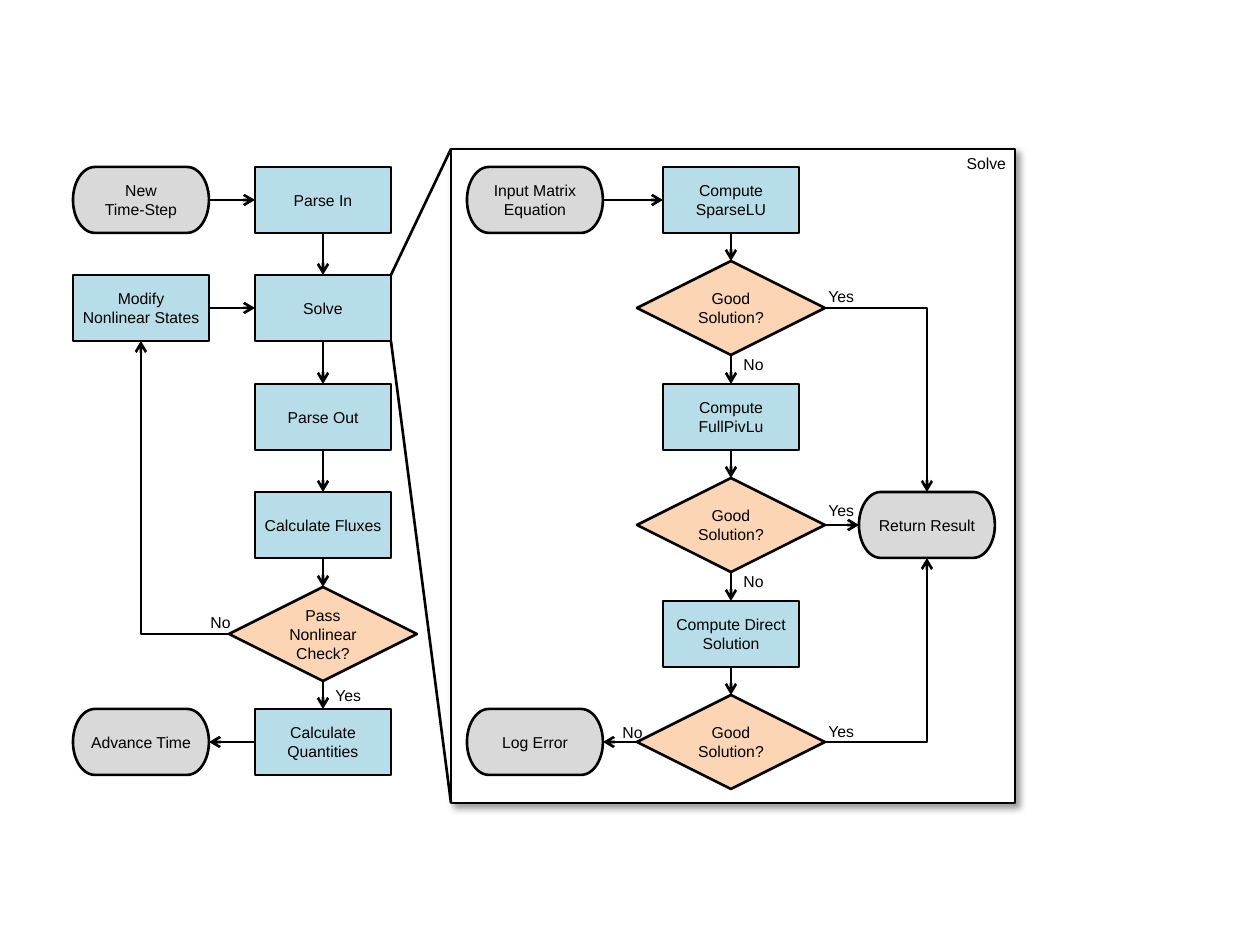
"""Build a flowchart of a time-step loop with its solve step expanded in a panel."""
import pptx
import pptx.dml.color
import pptx.enum.shapes
import pptx.enum.text
import pptx.oxml
import pptx.util

RGBColor = pptx.dml.color.RGBColor
MSO_SHAPE = pptx.enum.shapes.MSO_SHAPE
MSO_CONNECTOR = pptx.enum.shapes.MSO_CONNECTOR
PP_ALIGN = pptx.enum.text.PP_ALIGN
MSO_ANCHOR = pptx.enum.text.MSO_ANCHOR

BLACK = RGBColor(0x00, 0x00, 0x00)
WHITE = RGBColor(0xFF, 0xFF, 0xFF)
GREY = RGBColor(0xD9, 0xD9, 0xD9)
BLUE = RGBColor(0xB7, 0xDE, 0xE8)
ORANGE = RGBColor(0xFC, 0xD5, 0xB5)
PX = 914400 // 126
LINE_WIDTH = pptx.util.Pt(1.5)
TOP, LEFT, BOTTOM, RIGHT = range(4)
NAMESPACE = 'xmlns:a="http://schemas.openxmlformats.org/drawingml/2006/main"'

deck = pptx.Presentation()
deck.slide_width = pptx.util.Inches(10)
deck.slide_height = pptx.util.Inches(7.5)
page = deck.slides.add_slide(deck.slide_layouts[6])


def write(shape, text, align):
    frame = shape.text_frame
    frame.text = text
    for para in frame.paragraphs:
        para.alignment = align
        for span in para.runs:
            span.font.name = "Arial"
            span.font.size = pptx.util.Pt(9)
            span.font.color.rgb = BLACK
    return frame


def add_box(kind, bounds, fill, text, align, anchor):
    box = page.shapes.add_shape(kind, *(value * PX for value in bounds))
    box.shadow.inherit = False
    box.fill.solid()
    box.fill.fore_color.rgb = fill
    box.line.color.rgb = BLACK
    box.line.width = LINE_WIDTH
    frame = write(box, text, align)
    frame.vertical_anchor = anchor
    frame.margin_left = frame.margin_right = 9 * PX
    frame.margin_top = frame.margin_bottom = 5 * PX
    return box


panel = add_box(MSO_SHAPE.FLOWCHART_PROCESS, (451, 149, 564, 654), WHITE, "Solve",
                PP_ALIGN.RIGHT, MSO_ANCHOR.TOP)
panel.element.spPr.find(pptx.oxml.ns.qn("a:effectLst")).append(pptx.oxml.parse_xml(
    f'<a:outerShdw {NAMESPACE} blurRad="50800" dist="38100" dir="2700000" algn="tl" '
    'rotWithShape="0"><a:srgbClr val="000000"><a:alpha val="40000"/></a:srgbClr>'
    '</a:outerShdw>'))

STYLES = {
    "end": (MSO_SHAPE.FLOWCHART_TERMINATOR, 136, 66, GREY),
    "step": (MSO_SHAPE.FLOWCHART_PROCESS, 136, 66, BLUE),
    "check": (MSO_SHAPE.FLOWCHART_DECISION, 188, 94, ORANGE),
}
COLUMN_CENTRES = [141, 323, 535, 731, 927]
NODES = {
    "new step": (0, 0, "end", "New\nTime-Step"),
    "modify": (0, 1, "step", "Modify Nonlinear States"),
    "advance": (0, 5, "end", "Advance Time"),
    "parse in": (1, 0, "step", "Parse In"),
    "solve": (1, 1, "step", "Solve"),
    "parse out": (1, 2, "step", "Parse Out"),
    "fluxes": (1, 3, "step", "Calculate Fluxes"),
    "nonlinear check": (1, 4, "check", "Pass Nonlinear Check?"),
    "quantities": (1, 5, "step", "Calculate Quantities"),
    "input": (2, 0, "end", "Input Matrix Equation"),
    "log error": (2, 5, "end", "Log Error"),
    "sparse": (3, 0, "step", "Compute SparseLU"),
    "sparse check": (3, 1, "check", "Good Solution?"),
    "full": (3, 2, "step", "Compute FullPivLu"),
    "full check": (3, 3, "check", "Good Solution?"),
    "direct": (3, 4, "step", "Compute Direct Solution"),
    "direct check": (3, 5, "check", "Good Solution?"),
    "return": (4, 3, "end", "Return Result"),
}
boxes = {}
for name, (column, row, style, text) in NODES.items():
    kind, width, height, fill = STYLES[style]
    left = COLUMN_CENTRES[column] - width // 2
    top = 200 + 217 * row // 2 - height // 2
    boxes[name] = add_box(kind, (left, top, width, height), fill, text,
                          PP_ALIGN.CENTER, MSO_ANCHOR.MIDDLE)

links = [
    ("new step", RIGHT, "parse in", LEFT),
    ("modify", RIGHT, "solve", LEFT),
    ("quantities", LEFT, "advance", RIGHT),
    ("input", RIGHT, "sparse", LEFT),
    ("full check", RIGHT, "return", LEFT),
    ("direct check", LEFT, "log error", RIGHT),
    ("nonlinear check", LEFT, "modify", BOTTOM),
    ("sparse check", RIGHT, "return", TOP),
    ("direct check", RIGHT, "return", BOTTOM),
]
for column in (1, 3):
    chain = [name for name, node in NODES.items() if node[0] == column]
    links += [(upper, BOTTOM, lower, TOP) for upper, lower in zip(chain, chain[1:])]

lines = []
for start, start_side, end, end_side in links:
    bent = (start_side in (LEFT, RIGHT)) != (end_side in (LEFT, RIGHT))
    kind = MSO_CONNECTOR.ELBOW if bent else MSO_CONNECTOR.STRAIGHT
    arrow = page.shapes.add_connector(kind, 0, 0, 0, 0)
    arrow.begin_connect(boxes[start], start_side)
    arrow.end_connect(boxes[end], end_side)
    if bent:
        arrow.element.spPr.find(pptx.oxml.ns.qn("a:prstGeom")).set("prst", "bentConnector2")
    arrow.line._get_or_add_ln().append(
        pptx.oxml.parse_xml(f'<a:tailEnd {NAMESPACE} type="arrow"/>'))
    lines.append(arrow)

solve = boxes["solve"]
solve_right = solve.left + solve.width
for solve_y, panel_y in ((solve.top, panel.top),
                         (solve.top + solve.height, panel.top + panel.height)):
    lines.append(page.shapes.add_connector(
        MSO_CONNECTOR.STRAIGHT, solve_right, solve_y, panel.left, panel_y))

for line in lines:
    line.line.color.rgb = BLACK
    line.line.width = LINE_WIDTH
    line.element.spPr.append(pptx.oxml.parse_xml(f"<a:effectLst {NAMESPACE}/>"))

LABELS = {
    "No": (45, [(731, 349), (731, 566), (610, 717), (198, 607)]),
    "Yes": (53, [(816, 281), (816, 495), (816, 716), (323, 680)]),
}
for text, (width, places) in LABELS.items():
    for left, top in places:
        label = page.shapes.add_textbox(left * PX, top * PX, width * PX, 31 * PX)
        frame = write(label, text, PP_ALIGN.LEFT)
        frame.word_wrap = False
        frame.auto_size = pptx.enum.text.MSO_AUTO_SIZE.SHAPE_TO_FIT_TEXT

deck.save("out.pptx")
